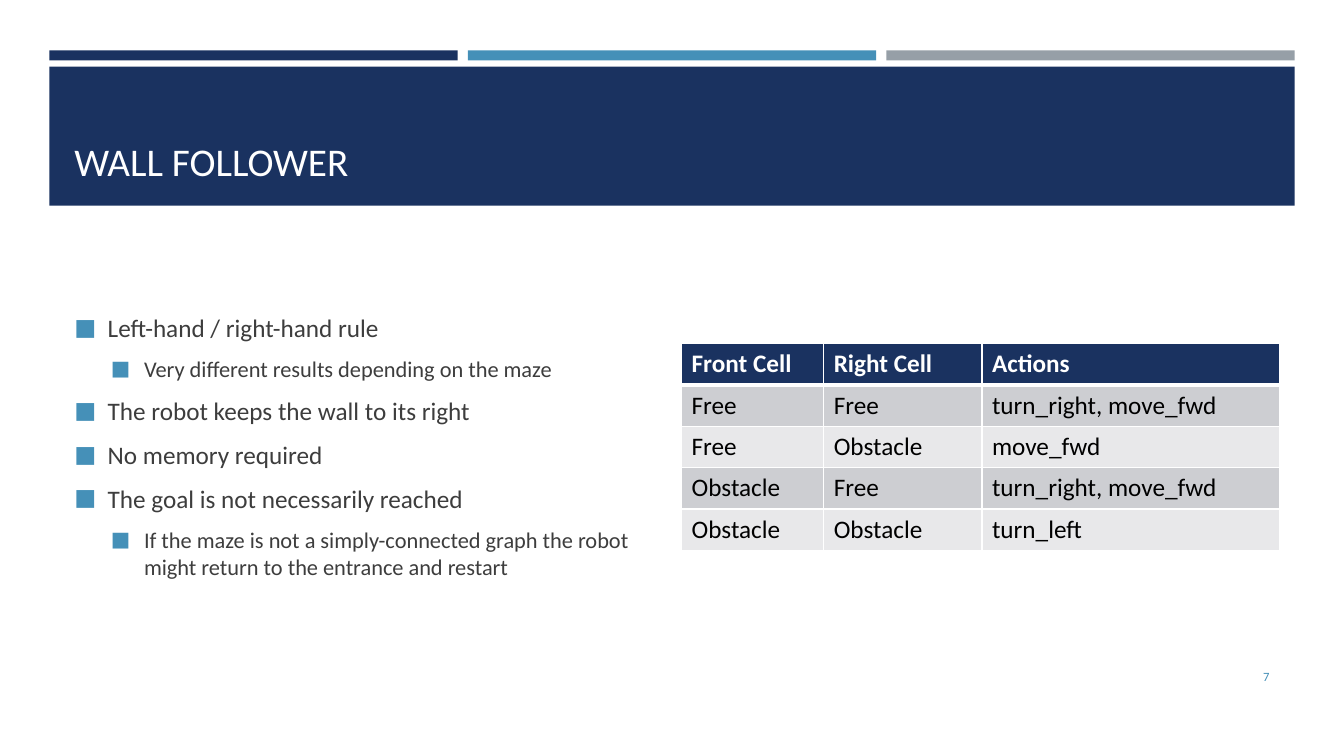
from lxml import etree
from pptx import Presentation
from pptx import util as u
from pptx.dml.color import RGBColor
from pptx.enum import shapes, text
from pptx.oxml.ns import qn

# Content
TITLE = "WALL FOLLOWER"
PAGE_NUMBER = "7"
BULLETS = [  # (level, wording)
    (0, "Left-hand / right-hand rule"),
    (1, "Very different results depending on the maze"),
    (0, "The robot keeps the wall to its right"),
    (0, "No memory required"),
    (0, "The goal is not necessarily reached"),
    (1, "If the maze is not a simply-connected graph the robot "
        "might return to the entrance and restart"),
]
RULES = [
    ("Front Cell", "Right Cell", "Actions"),
    ("Free", "Free", "turn_right, move_fwd"),
    ("Free", "Obstacle", "move_fwd"),
    ("Obstacle", "Free", "turn_right, move_fwd"),
    ("Obstacle", "Obstacle", "turn_left"),
]

# Style
FONT = "Calibri"
NAVY, BLUE, GRAY, INK = "1A3260", "4590B8", "969FA7", "3D3D3D"
WHITE, BLACK = "FFFFFF", "000000"
BANDS = ("E8E8EA", "CDCED2")
LEVELS = [(18, 0.33), (16, 0.69)]  # text size, indent
HANG = 0.33

# Grid, in inches
WIDTH, HEIGHT = 13.33, 7.5
MARGIN, INSET = 0.49, 0.64
BANNER = WIDTH - 2 * MARGIN
INNER = WIDTH - 2 * INSET
GAP = 0.1
STRIPE = (BANNER - 2 * GAP) / 3
COLUMN = 5.93
COLUMN_WIDTHS = (1.41, 1.57, 2.95)
ROW = 0.41


def color(value):
    return RGBColor.from_string(value)


def add_bar(left, top, width, height, fill):
    bar = page.shapes.add_shape(shapes.MSO_SHAPE.RECTANGLE,
                                *map(u.Inches, (left, top, width, height)))
    bar.shadow.inherit = False
    bar.fill.solid()
    bar.fill.fore_color.rgb = color(fill)
    bar.line.fill.background()


def add_box(left, top, width, height, anchor):
    box = page.shapes.add_textbox(*map(u.Inches, (left, top, width, height)))
    frame = box.text_frame
    frame.word_wrap = True
    frame.vertical_anchor = anchor
    return frame


def write(para, wording, size, ink, bold=False):
    para.text = wording
    for span in para.runs:
        span.font.name = FONT
        span.font.size = u.Pt(size)
        span.font.bold = bold
        span.font.color.rgb = color(ink)


def add_bullet(para, indent):
    props = para._p.get_or_add_pPr()
    props.set("marL", str(u.Inches(indent)))
    props.set("indent", str(-u.Inches(HANG)))
    tint = etree.SubElement(props, qn("a:buClr"))
    etree.SubElement(tint, qn("a:srgbClr"), val=BLUE)
    etree.SubElement(props, qn("a:buSzPct"), val="92000")
    etree.SubElement(props, qn("a:buFont"), typeface=FONT)
    etree.SubElement(props, qn("a:buChar"), char="■")


def add_borders(cell, bottom):
    props = cell._tc.get_or_add_tcPr()
    sides = (("L", 1), ("R", 1), ("T", 1), ("B", bottom))
    for place, (side, points) in enumerate(sides):
        line = etree.Element(qn(f"a:ln{side}"), w=str(u.Pt(points)))
        fill = etree.SubElement(line, qn("a:solidFill"))
        etree.SubElement(fill, qn("a:srgbClr"), val=WHITE)
        props.insert(place, line)


deck = Presentation()
deck.slide_width, deck.slide_height = u.Inches(WIDTH), u.Inches(HEIGHT)
page = deck.slides.add_slide(deck.slide_layouts[6])

# Stripes and title banner
for index, fill in enumerate((NAVY, BLUE, GRAY)):
    add_bar(MARGIN + index * (STRIPE + GAP), 0.5, STRIPE, 0.1, fill)
add_bar(MARGIN, 0.66, BANNER, 1.38, NAVY)
title = add_box(INSET, 0.8, INNER, 1.08, text.MSO_ANCHOR.BOTTOM)
write(title.paragraphs[0], TITLE, 28, WHITE)

# Bullet list
body = add_box(INSET, 2.44, COLUMN, 3.97, text.MSO_ANCHOR.MIDDLE)
for index, (level, wording) in enumerate(BULLETS):
    para = body.add_paragraph() if index else body.paragraphs[0]
    size, indent = LEVELS[level]
    write(para, wording, size, INK)
    para.level = level
    para.space_before, para.space_after = u.Pt(size * 0.2), u.Pt(6)
    add_bullet(para, indent)

# Rule table
table = page.shapes.add_table(
    len(RULES), len(COLUMN_WIDTHS), u.Inches(WIDTH - INSET - COLUMN),
    u.Inches(3.41), u.Inches(COLUMN), u.Inches(ROW * len(RULES))).table
for column, width in zip(table.columns, COLUMN_WIDTHS):
    column.width = u.Inches(width)
for r, rule in enumerate(RULES):
    header = r == 0
    table.rows[r].height = u.Inches(ROW)
    for c, wording in enumerate(rule):
        cell = table.cell(r, c)
        write(cell.text_frame.paragraphs[0], wording, 18,
              WHITE if header else BLACK, header)
        cell.fill.solid()
        cell.fill.fore_color.rgb = color(NAVY if header else BANDS[r % 2])
        add_borders(cell, 3 if header else 1)

# Page number
number = add_box(WIDTH - INSET - 1.15, 6.51, 1.15, 0.4, text.MSO_ANCHOR.MIDDLE)
write(number.paragraphs[0], PAGE_NUMBER, 9, BLUE)
number.paragraphs[0].alignment = text.PP_ALIGN.RIGHT

deck.save("out.pptx")
